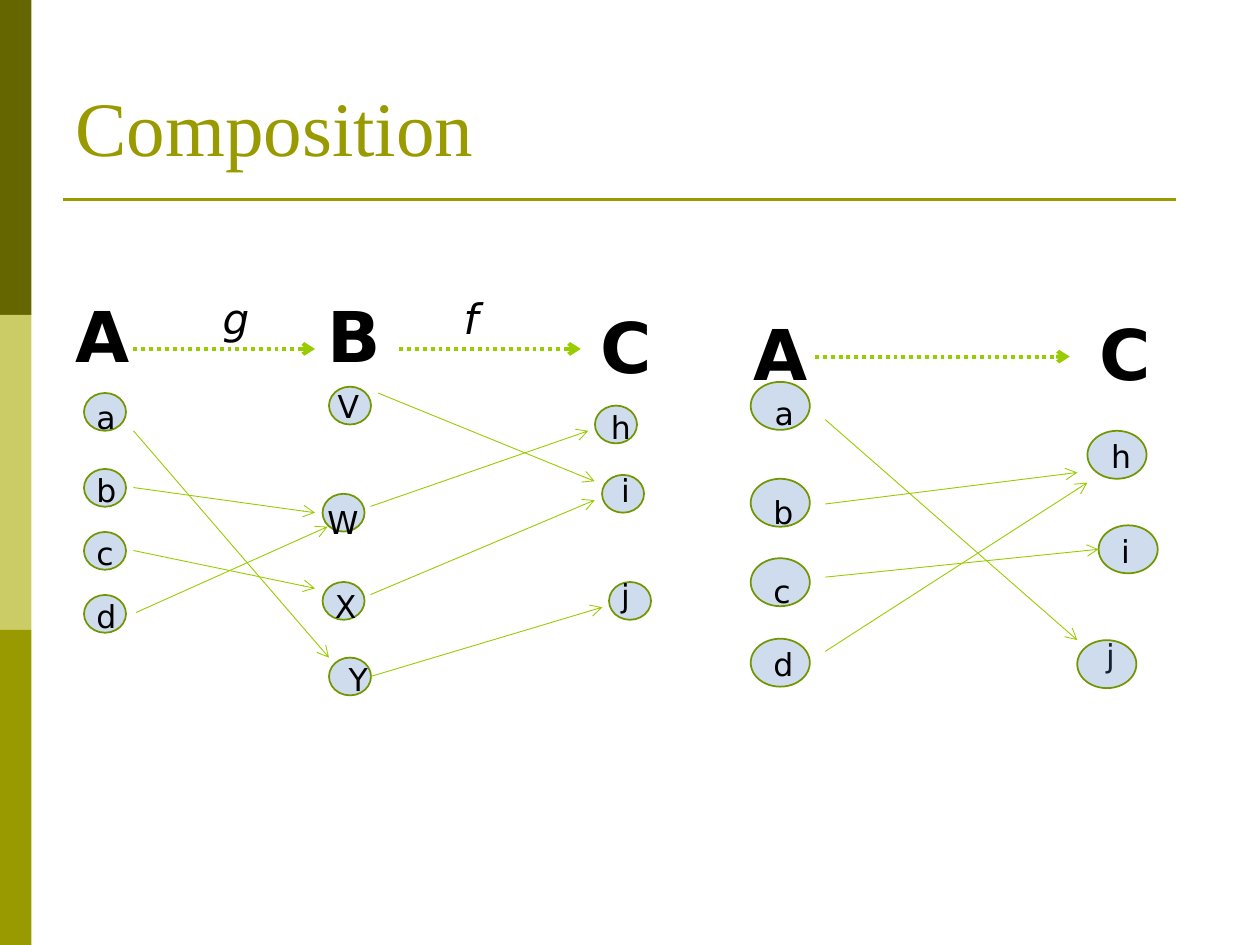
from dataclasses import dataclass

import pptx
import pptx.dml.color
import pptx.enum.dml
import pptx.enum.shapes
import pptx.enum.text
import pptx.oxml.ns
import pptx.oxml.xmlchemy
import pptx.util

Pt = pptx.util.Pt
BODY_FONT = "DejaVu Sans"
OLIVE, LIME, BLACK = "999900", "99CC00", "000000"


@dataclass
class Node:
    """An element of a set; label_x and label_y place its letter's box."""
    label: str
    x: float
    y: float
    label_x: float
    label_y: float
    label_behind: bool = False


@dataclass
class Caption:
    text: str
    x: float
    y: float
    width: float
    height: float
    size: float = 40
    bold: bool = True
    italic: bool = False


@dataclass
class Arrow:
    x1: float
    y1: float
    x2: float
    y2: float
    dotted: bool = False


@dataclass
class Diagram:
    node_width: float
    node_height: float
    label_size: float
    nodes: list[Node]
    captions: list[Caption]
    arrows: list[Arrow]


def rgb(color: str) -> pptx.dml.color.RGBColor:
    return pptx.dml.color.RGBColor.from_string(color)


def add_xml(parent, tag: str, **attributes: str) -> None:
    child = pptx.oxml.xmlchemy.OxmlElement(tag)
    for name, value in attributes.items():
        child.set(name, value)
    parent.append(child)


def draw_line(slide, x1: float, y1: float, x2: float, y2: float,
              color: str, width: float):
    line = slide.shapes.add_connector(
        pptx.enum.shapes.MSO_CONNECTOR.STRAIGHT, Pt(x1), Pt(y1), Pt(x2), Pt(y2))
    line.line.color.rgb = rgb(color)
    line.line.width = Pt(width)
    add_xml(line._element.spPr, "a:effectLst")
    return line


def draw_arrow(slide, arrow: Arrow) -> None:
    line = draw_line(slide, arrow.x1, arrow.y1, arrow.x2, arrow.y2,
                     LIME, 2.25 if arrow.dotted else 0.5)
    if arrow.dotted:
        line.line.dash_style = pptx.enum.dml.MSO_LINE.ROUND_DOT
    add_xml(line.line._get_or_add_ln(), "a:tailEnd", type="arrow")


def draw_caption(slide, caption: Caption) -> None:
    box = slide.shapes.add_textbox(Pt(caption.x), Pt(caption.y),
                                   Pt(caption.width), Pt(caption.height))
    frame = box.text_frame
    frame.word_wrap = True
    frame.auto_size = pptx.enum.text.MSO_AUTO_SIZE.SHAPE_TO_FIT_TEXT
    run = frame.paragraphs[0].add_run()
    run.text = caption.text
    run.font.name = BODY_FONT
    run.font.size = Pt(caption.size)
    run.font.bold = caption.bold
    run.font.italic = caption.italic
    run.font.color.rgb = rgb(BLACK)


def draw_node(slide, node: Node, diagram: Diagram) -> None:
    label = Caption(node.label, node.label_x, node.label_y,
                    diagram.label_size, diagram.label_size, 18, bold=False)
    if node.label_behind:
        draw_caption(slide, label)
    circle = slide.shapes.add_shape(
        pptx.enum.shapes.MSO_SHAPE.FLOWCHART_CONNECTOR, Pt(node.x), Pt(node.y),
        Pt(diagram.node_width), Pt(diagram.node_height))
    circle.shadow.inherit = False
    circle.fill.solid()
    circle.fill.fore_color.rgb = rgb("4F81BD")
    fill_color = circle._element.spPr.find(".//" + pptx.oxml.ns.qn("a:srgbClr"))
    add_xml(fill_color, "a:alpha", val="27000")
    circle.line.color.rgb = rgb("719700")
    circle.line.width = Pt(1)
    if not node.label_behind:
        draw_caption(slide, label)


def draw_diagram(slide, diagram: Diagram) -> None:
    for node in diagram.nodes:
        draw_node(slide, node, diagram)
    for caption in diagram.captions:
        draw_caption(slide, caption)
    for arrow in diagram.arrows:
        draw_arrow(slide, arrow)


# The maps g: A to B and f: B to C
TWO_MAPS = Diagram(
    24, 21.6, 16,
    nodes=[
        Node("a", 48, 224.6, 48, 224), Node("b", 48, 268, 48, 265.7),
        Node("c", 48, 304, 48, 301.7), Node("d", 48, 340, 48, 337.7),
        Node("V", 188, 221, 185.8, 217.4), Node("W", 184.3, 282.2, 180, 283.7),
        Node("X", 184.3, 332.6, 184.3, 332), Node("Y", 188, 375.8, 192.2, 373.7),
        Node("h", 340, 231.8, 342, 229.7), Node("i", 344, 271.4, 347.8, 265.7),
        Node("j", 348, 332.6, 347.8, 325.4)],
    captions=[
        Caption("A", 36, 163.4, 54, 55.4), Caption("B", 180, 163.4, 54, 55.4),
        Caption("C", 336.2, 170, 54, 55.4),
        Caption("g", 120.2, 163.4, 28, 36, 24, bold=False, italic=True),
        Caption("f", 257.8, 163.4, 28, 36, 24, bold=False, italic=True)],
    arrows=[
        Arrow(76.3, 199.4, 180, 199.4, dotted=True),
        Arrow(228.2, 199.4, 331.9, 199.4, dotted=True),
        Arrow(76.3, 246.2, 188, 375.8), Arrow(76.3, 278.6, 180, 293),
        Arrow(76.3, 314.6, 180, 336.2), Arrow(77.8, 350, 187.2, 301),
        Arrow(216, 224.6, 339.8, 275), Arrow(211.7, 289.4, 336.2, 246.2),
        Arrow(211.7, 339.8, 339.8, 285.8), Arrow(211.7, 386.6, 344.2, 347)])

# The composed map from A to C
COMPOSED_MAP = Diagram(
    33.8, 27.4, 22.3,
    nodes=[
        Node("a", 429, 218.2, 435.6, 221.8), Node("b", 429, 273.6, 434.9, 277.9),
        Node("c", 429, 319, 434.9, 323.3), Node("d", 429, 365, 434.9, 365),
        Node("h", 621.4, 246.2, 627.8, 246.2), Node("i", 627.8, 300.2, 633.6, 300.2),
        Node("j", 615.6, 365.8, 625, 360, label_behind=True)],
    captions=[Caption("A", 423.4, 174.2, 50.4, 55.4),
              Caption("C", 621.4, 174.2, 50.4, 55.4)],
    arrows=[
        Arrow(465.8, 203.8, 611.3, 203.8, dotted=True),
        Arrow(471.6, 239.8, 615.6, 365.8), Arrow(471.6, 288, 615.6, 270),
        Arrow(471.6, 329.8, 627.8, 313.9), Arrow(471.6, 372.2, 621.4, 275.8)])


def main() -> None:
    deck = pptx.Presentation()
    deck.slide_width, deck.slide_height = Pt(720), Pt(540)
    slide = deck.slides.add_slide(deck.slide_layouts[5])

    # Side bands and title rule
    for index, color in enumerate(("666600", "CCCC66", OLIVE)):
        band = slide.shapes.add_shape(pptx.enum.shapes.MSO_SHAPE.RECTANGLE,
                                      0, Pt(180 * index), Pt(18), Pt(180))
        band.shadow.inherit = False
        band.fill.solid()
        band.fill.fore_color.rgb = rgb(color)
        band.line.fill.background()
    draw_line(slide, 36, 114, 672, 114, OLIVE, 1.5)

    # Title
    title = slide.shapes.title
    title.left, title.top, title.width, title.height = Pt(36), Pt(12), Pt(648), Pt(90)
    title.text_frame.auto_size = pptx.enum.text.MSO_AUTO_SIZE.NONE
    title.text_frame.vertical_anchor = pptx.enum.text.MSO_ANCHOR.BOTTOM
    heading = title.text_frame.paragraphs[0]
    heading.alignment = pptx.enum.text.PP_ALIGN.LEFT
    run = heading.add_run()
    run.text = "Composition"
    run.font.name = "Times New Roman"
    run.font.size = Pt(44)
    run.font.color.rgb = rgb(OLIVE)

    for diagram in (COMPOSED_MAP, TWO_MAPS):
        draw_diagram(slide, diagram)
    deck.save("out.pptx")


if __name__ == "__main__":
    main()
